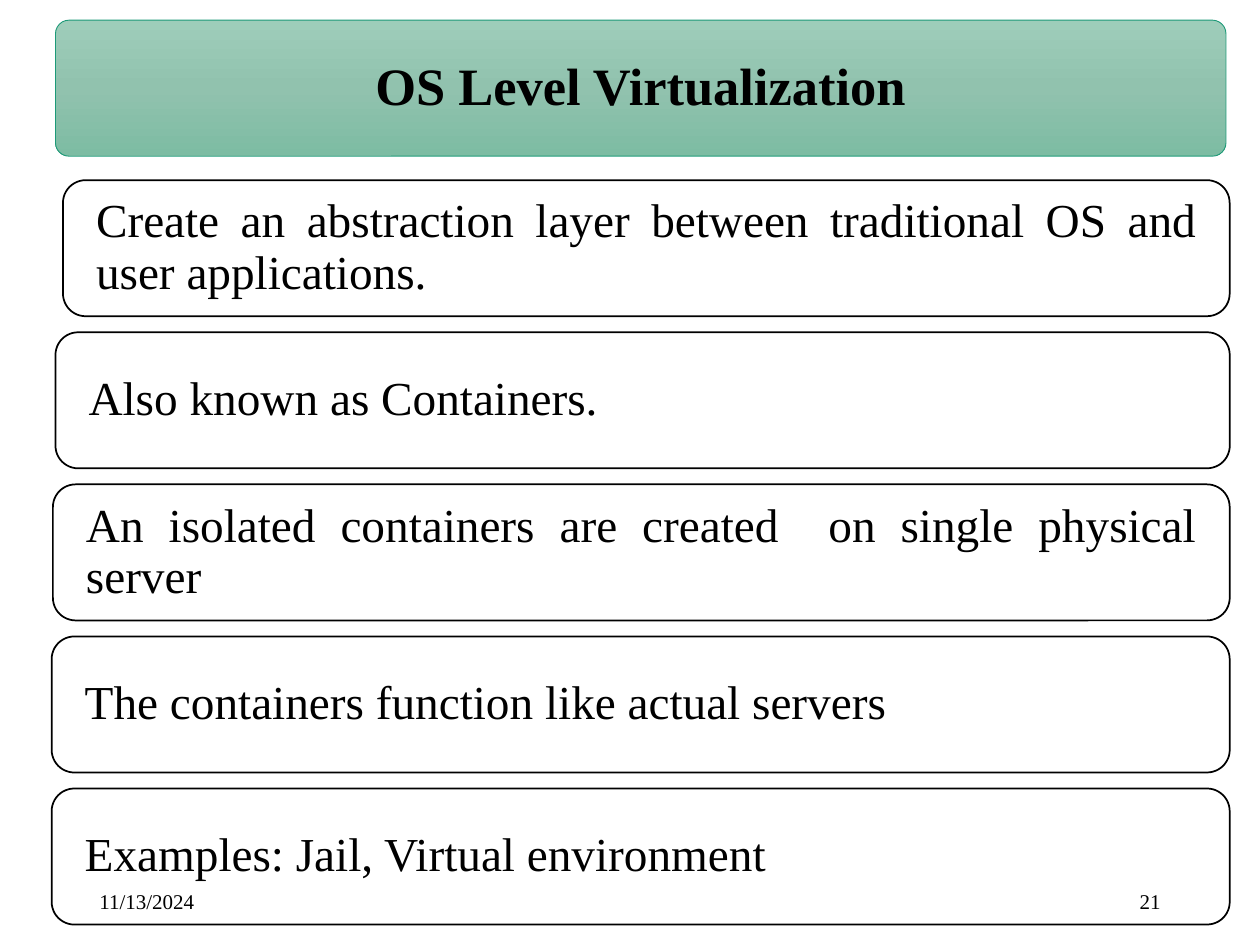
"""Build the slide on OS level virtualization."""
from copy import deepcopy
from dataclasses import dataclass

from pptx import Presentation
from pptx.dml.color import RGBColor
from pptx.enum.shapes import MSO_SHAPE
from pptx.enum.text import MSO_ANCHOR, PP_ALIGN
from pptx.oxml.ns import qn
from pptx.shapes.autoshape import Shape
from pptx.slide import Slide
from pptx.util import Inches, Pt

ROUNDED = MSO_SHAPE.ROUNDED_RECTANGLE
MIDDLE = MSO_ANCHOR.MIDDLE
LEFT, CENTER, RIGHT, JUSTIFY = PP_ALIGN.LEFT, PP_ALIGN.CENTER, PP_ALIGN.RIGHT, PP_ALIGN.JUSTIFY

FONT = "Times New Roman"
COLORS = {
    "ink": "000000",
    "card": "FFFFFF",
    "banner_top": "9ECDBA",
    "banner_middle": "91C2AE",
    "banner_bottom": "7DBCA3",
    "banner_edge": "1D9A78",
}
BOX_HEIGHT = 1.08
CARDS_TOP = 1.43
CARD_PITCH = 1.207
CARDS_RIGHT = 9.76


@dataclass
class Card:
    """A statement and the left edge of its box in inches."""

    text: str
    left: float


@dataclass
class FooterField:
    """A footer entry with its left edge in inches."""

    text: str
    left: float
    align: PP_ALIGN


CARDS = [
    Card("Create an abstraction layer between traditional OS and user applications.", 0.5),
    Card("Also known as Containers.", 0.44),
    Card("An isolated containers are created  on single physical server", 0.42),
    Card("The containers function like actual servers", 0.41),
    Card("Examples: Jail, Virtual environment", 0.41),
]
FOOTER = [FooterField("11/13/2024", 0.69, LEFT), FooterField("21", 7.06, RIGHT)]


def color(name: str) -> RGBColor:
    """Look up a palette colour."""
    return RGBColor.from_string(COLORS[name])


def write(shape: Shape, text: str, size: float, align: PP_ALIGN, bold: bool = False) -> None:
    """Put one vertically centred paragraph into a shape."""
    frame = shape.text_frame
    frame.word_wrap = True
    frame.vertical_anchor = MIDDLE
    paragraph = frame.paragraphs[0]
    paragraph.text = text
    paragraph.alignment = align
    paragraph.font.name = FONT
    paragraph.font.size = Pt(size)
    paragraph.font.bold = bold
    paragraph.font.color.rgb = color("ink")


def add_box(slide: Slide, left: float, top: float, width: float, corner: float,
            edge: str, edge_width: float, inset_x: float, inset_y: float) -> Shape:
    """Add an outlined rounded box with tight line spacing and the given insets."""
    box = slide.shapes.add_shape(
        ROUNDED, Inches(left), Inches(top), Inches(width), Inches(BOX_HEIGHT))
    box.shadow.inherit = False
    box.adjustments[0] = corner
    box.line.color.rgb = color(edge)
    box.line.width = Pt(edge_width)
    frame = box.text_frame
    frame.margin_left = frame.margin_right = Inches(inset_x)
    frame.margin_top = frame.margin_bottom = Inches(inset_y)
    frame.paragraphs[0].line_spacing = 0.9
    return box


def fill_banner(banner: Shape) -> None:
    """Give the banner its three-stop vertical gradient."""
    banner.fill.gradient()
    banner.fill.gradient_angle = 270
    stop_list = banner.fill._xPr.find(qn("a:gradFill")).find(qn("a:gsLst"))
    stop_list.insert(1, deepcopy(stop_list[0]))
    names = ("banner_top", "banner_middle", "banner_bottom")
    for index, (stop, name) in enumerate(zip(banner.fill.gradient_stops, names)):
        stop.position = index / 2
        stop.color.rgb = color(name)


def add_banner(slide: Slide, title: str) -> None:
    """Add the title banner."""
    banner = add_box(slide, 0.44, 0.16, 9.29, 0.1, "banner_edge", 0.5, 0.06, 0.04)
    fill_banner(banner)
    write(banner, title, 30, CENTER, bold=True)


def add_card(slide: Slide, card: Card, row: int) -> None:
    """Add one statement box in its row."""
    box = add_box(slide, card.left, CARDS_TOP + row * CARD_PITCH,
                  CARDS_RIGHT - card.left, 0.167, "ink", 1, 0.21, 0.21)
    box.fill.solid()
    box.fill.fore_color.rgb = color("card")
    write(box, card.text, 27, JUSTIFY)


def add_footer_field(slide: Slide, field: FooterField) -> None:
    """Add one footer entry."""
    box = slide.shapes.add_textbox(
        Inches(field.left), Inches(6.95), Inches(2.25), Inches(0.4))
    write(box, field.text, 12, field.align)


def main() -> None:
    """Assemble and save the slide."""
    deck = Presentation()
    deck.slide_width, deck.slide_height = Inches(10), Inches(7.5)
    slide = deck.slides.add_slide(deck.slide_layouts[6])
    add_banner(slide, "OS Level Virtualization")
    for row, card in enumerate(CARDS):
        add_card(slide, card, row)
    for field in FOOTER:
        add_footer_field(slide, field)
    deck.save("out.pptx")


if __name__ == "__main__":
    main()
